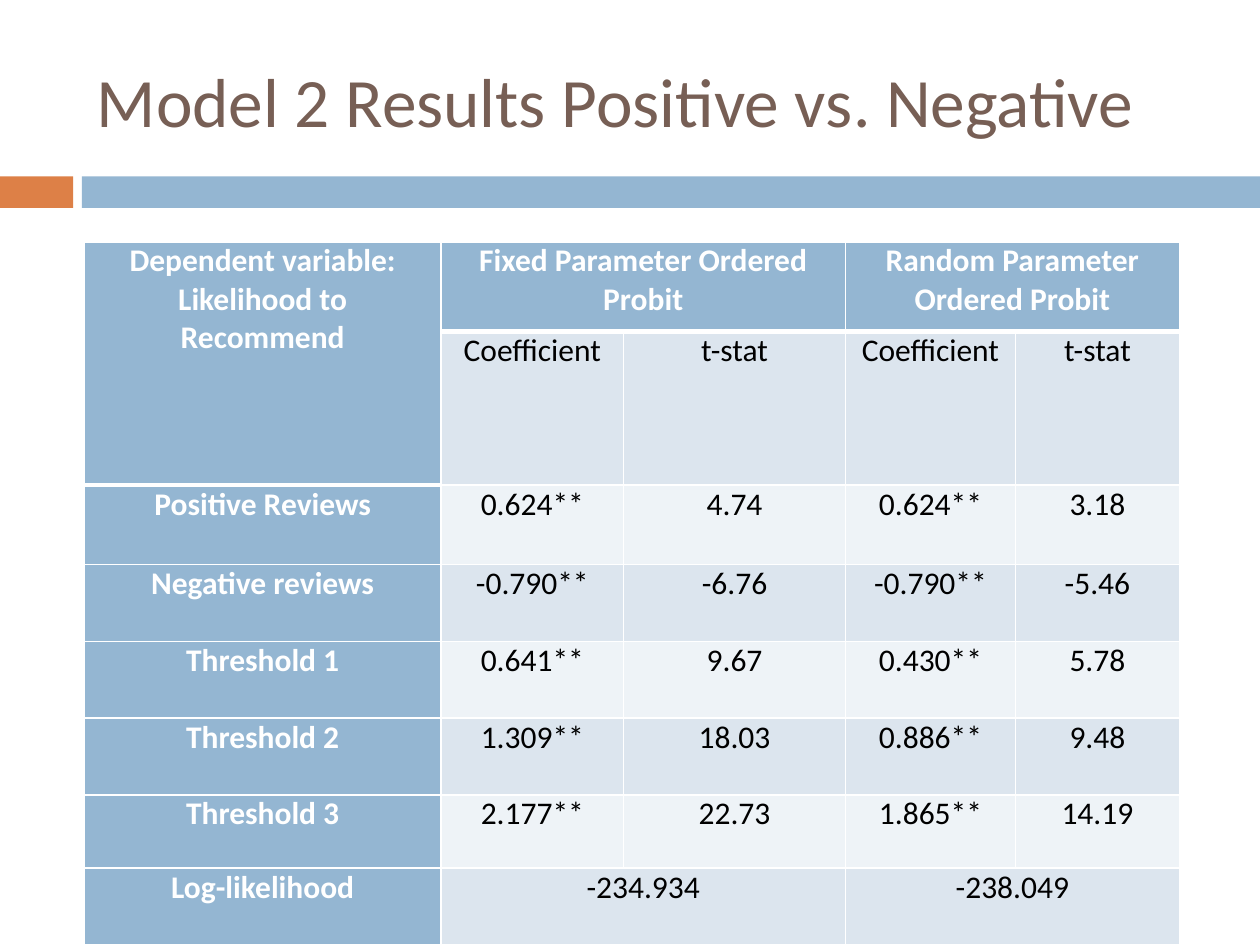
from dataclasses import dataclass
from lxml import etree
from pptx import Presentation
from pptx.dml.color import RGBColor
from pptx.enum.shapes import MSO_SHAPE
from pptx.enum.text import MSO_ANCHOR, PP_ALIGN
from pptx.oxml.ns import qn
from pptx.util import Inches, Pt

WIDE, HIGH = Inches(10), Inches(7.5)
RECT = MSO_SHAPE.RECTANGLE
MIDDLE, TOP = MSO_ANCHOR.MIDDLE, MSO_ANCHOR.TOP
CENTER = PP_ALIGN.CENTER
WHITE = RGBColor(0xFF, 0xFF, 0xFF)
BLACK = RGBColor(0x00, 0x00, 0x00)
BROWN = RGBColor(0x77, 0x5F, 0x55)
ORANGE = RGBColor(0xDD, 0x80, 0x47)
BLUE = RGBColor(0x94, 0xB6, 0xD2)
BANDS = (RGBColor(0xEE, 0xF3, 0xF7), RGBColor(0xDC, 0xE5, 0xEE))

TITLE_FONT = {"name": "Calibri", "size": Pt(39.6)}
HEAD_FONT = {"name": "Calibri", "size": Pt(18), "bold": True}
BODY_FONT = HEAD_FONT | {"bold": False}
CELL = {
    "margin_left": Inches(0.1),
    "margin_right": Inches(0.1),
    "margin_top": 0,
    "margin_bottom": 0,
    "vertical_anchor": TOP,
}
COLS = (2.83, 1.45, 1.76, 1.35, 1.3)
ROWS = (0.71, 1.22, 0.63, 0.61, 0.61, 0.61, 0.58, 0.61)
DATA = (
    ("Dependent variable:\nLikelihood to Recommend", "Fixed Parameter Ordered Probit", "",
     "Random Parameter Ordered Probit", ""),
    ("", "Coefficient", "t-stat", "Coefficient", "t-stat"),
    ("Positive Reviews", "0.624**", "4.74", "0.624**", "3.18"),
    ("Negative reviews", "-0.790**", "-6.76", "-0.790**", "-5.46"),
    ("Threshold 1", "0.641**", "9.67", "0.430**", "5.78"),
    ("Threshold 2", "1.309**", "18.03", "0.886**", "9.48"),
    ("Threshold 3", "2.177**", "22.73", "1.865**", "14.19"),
    ("Log-likelihood", "-234.934", "", "-238.049", ""),
)
LAST = len(ROWS) - 1
SPANS = (
    ((0, 0), (1, 0)),
    ((0, 1), (0, 2)),
    ((0, 3), (0, 4)),
    ((LAST, 1), (LAST, 2)),
    ((LAST, 3), (LAST, 4)),
)
THICK = {(0, col) for col in range(len(COLS))} | {(1, 0)}


@dataclass
class Box:
    left: float
    top: float
    width: float
    height: float

    def place(self) -> tuple[int, int, int, int]:
        return (int(self.left * WIDE), int(self.top * HIGH),
                int(self.width * WIDE), int(self.height * HIGH))


@dataclass
class Bar:
    box: Box
    color: RGBColor


BARS = (
    Bar(Box(0, 0.19, 0.06, 0.03), ORANGE),
    Bar(Box(0.06, 0.19, 0.94, 0.03), BLUE),
)
BARS[0].box = Box(0, 1.4 / 7.5, 0.058, 0.25 / 7.5)
BARS[1].box = Box(0.065, 1.4 / 7.5, 0.935, 0.25 / 7.5)
TITLE = Box(0.067, 0.25 / 7.5, 0.892, 1.08 / 7.5)
GRID = Box(0.067, 1.92 / 7.5, sum(COLS) / 10, sum(ROWS) / 7.5)


def apply(item, values: dict) -> None:
    for name, value in values.items():
        setattr(item, name, value)


def draw_bar(slide, bar: Bar) -> None:
    shape = slide.shapes.add_shape(RECT, *bar.box.place())
    shape.shadow.inherit = False
    shape.fill.solid()
    shape.fill.fore_color.rgb = bar.color
    shape.line.fill.background()


def draw_title(slide, text: str) -> None:
    frame = slide.shapes.add_textbox(*TITLE.place()).text_frame
    apply(frame, {"word_wrap": True, "vertical_anchor": MIDDLE, "text": text})
    font = frame.paragraphs[0].runs[0].font
    apply(font, TITLE_FONT)
    font.color.rgb = BROWN


def draw_edge(cell, side: str, width: float) -> None:
    line = etree.SubElement(cell._tc.get_or_add_tcPr(), qn(f"a:ln{side}"), w=str(Pt(width)))
    fill = etree.SubElement(line, qn("a:solidFill"))
    etree.SubElement(fill, qn("a:srgbClr"), val=str(WHITE))


def draw_cell(cell, row: int, col: int) -> None:
    head = row == 0 or col == 0
    apply(cell, CELL)
    edges = {
        "L": 1,
        "R": 1,
        "T": 3 if (row - 1, col) in THICK else 1,
        "B": 3 if (row, col) in THICK else 1,
    }
    for side, width in edges.items():
        draw_edge(cell, side, width)
    cell.fill.solid()
    cell.fill.fore_color.rgb = BLUE if head else BANDS[row % 2]
    cell.text = DATA[row][col]
    for para in cell.text_frame.paragraphs:
        para.alignment = CENTER
        apply(para.font, HEAD_FONT if head else BODY_FONT)
        for run in para.runs:
            apply(run.font, HEAD_FONT if head else BODY_FONT)
            run.font.color.rgb = WHITE if head else BLACK


def draw_table(slide) -> None:
    table = slide.shapes.add_table(len(ROWS), len(COLS), *GRID.place()).table
    for col, width in zip(table.columns, COLS):
        col.width = Inches(width)
    for row, height in zip(table.rows, ROWS):
        row.height = Inches(height)
    for row in range(len(ROWS)):
        for col in range(len(COLS)):
            draw_cell(table.cell(row, col), row, col)
    for start, end in SPANS:
        table.cell(*start).merge(table.cell(*end))


def main() -> None:
    deck = Presentation()
    apply(deck, {"slide_width": WIDE, "slide_height": HIGH})
    slide = deck.slides.add_slide(deck.slide_layouts[6])
    for bar in BARS:
        draw_bar(slide, bar)
    draw_title(slide, "Model 2 Results Positive vs. Negative")
    draw_table(slide)
    deck.save("out.pptx")


if __name__ == "__main__":
    main()
